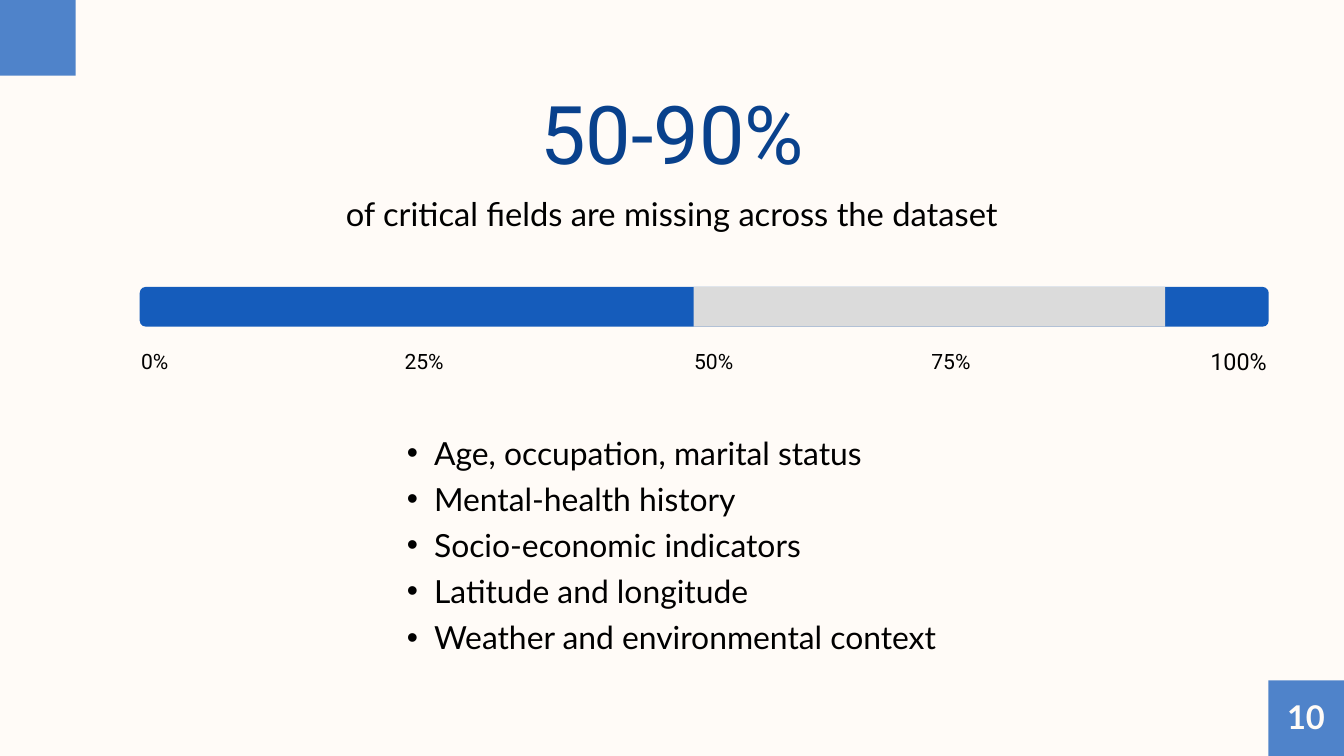
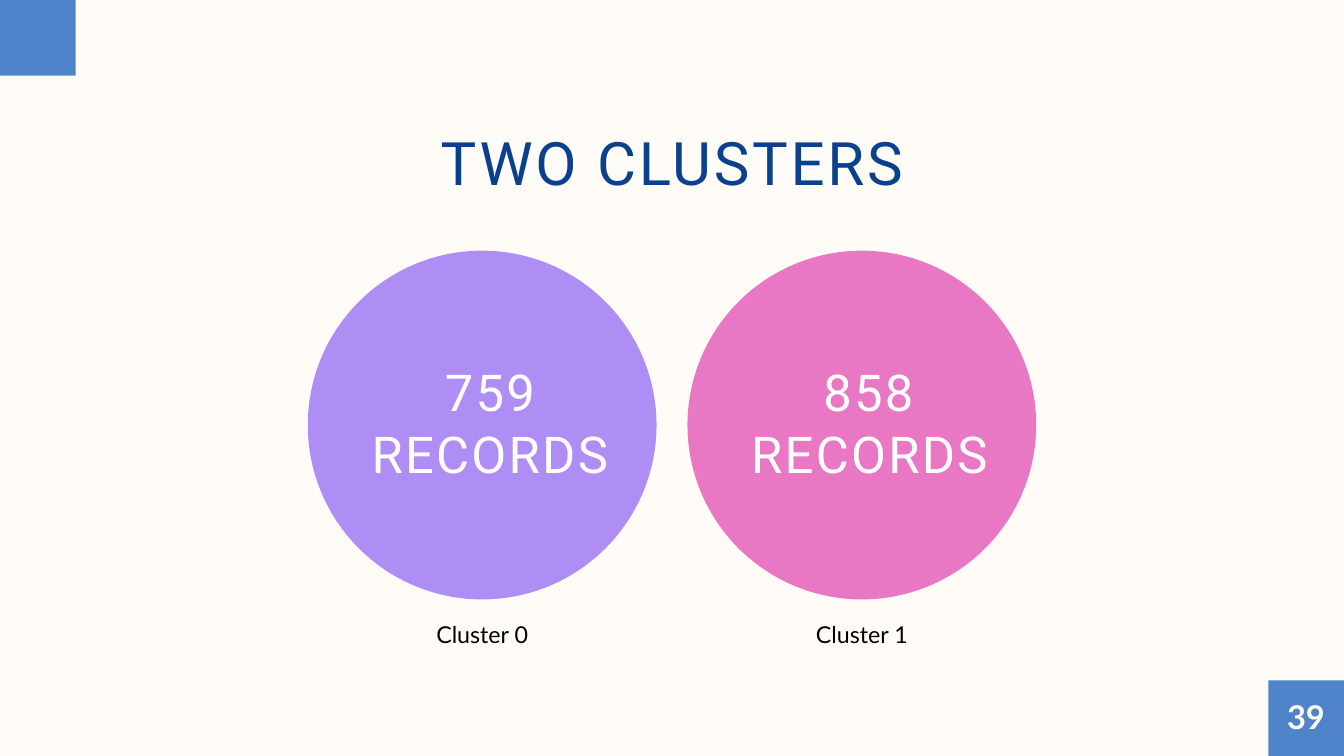
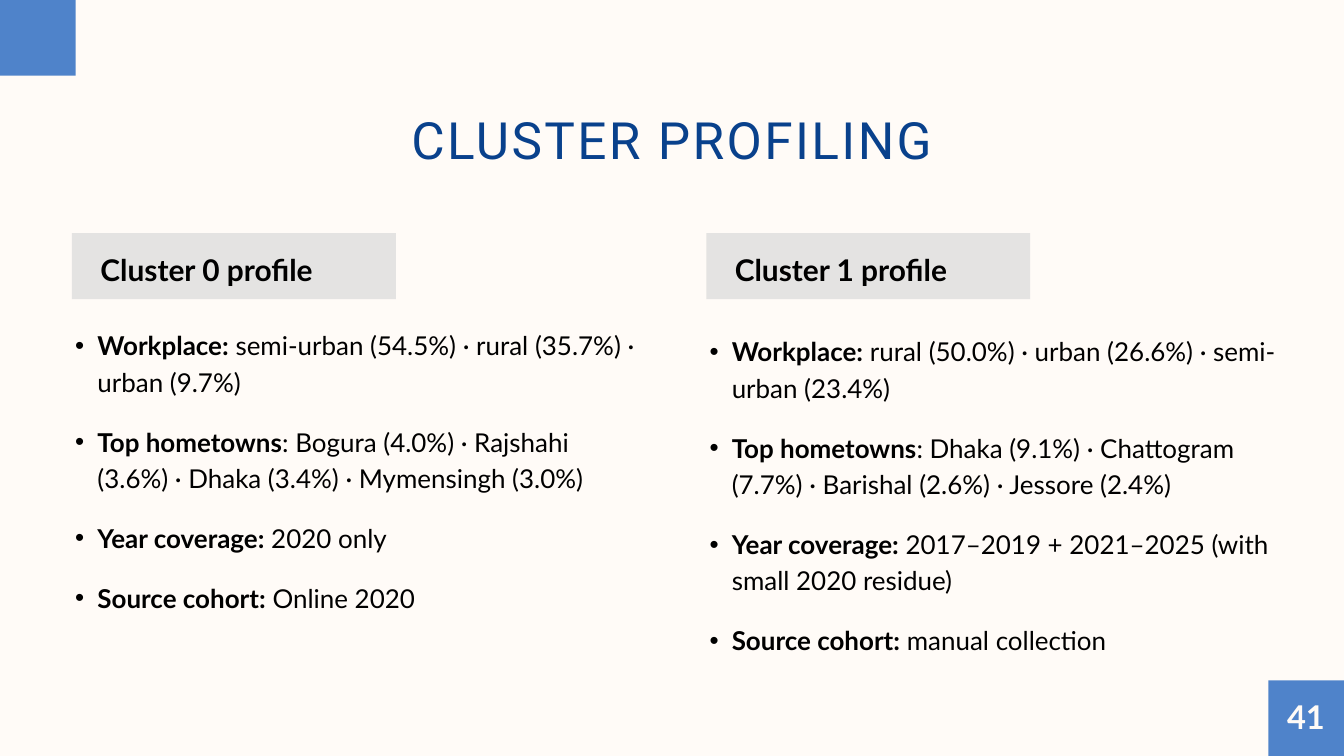
from dataclasses import dataclass

from lxml import etree
from pptx import Presentation
from pptx.dml.color import RGBColor
from pptx.enum.shapes import MSO_SHAPE
from pptx.enum.text import MSO_AUTO_SIZE, PP_ALIGN
from pptx.oxml.ns import qn
from pptx.util import Inches, Pt

RECT, ROUND, OVAL = MSO_SHAPE.RECTANGLE, MSO_SHAPE.ROUNDED_RECTANGLE, MSO_SHAPE.OVAL
LEFT, MID, RIGHT = PP_ALIGN.LEFT, PP_ALIGN.CENTER, PP_ALIGN.RIGHT
GROW = MSO_AUTO_SIZE.SHAPE_TO_FIT_TEXT


@dataclass(frozen=True)
class Style:
    """Type style: size, line pitch and letter spacing in points."""
    size: float
    line: float
    face: str = "Lato"
    color: str = "000000"
    bold: bool = False
    track: float = 0


class Theme:
    paper, blue, grey = "FFFBF7", "155CBB", "DBDBDB"
    navy, white = "09418C", "FFFFFF"
    solid, soft = 100, 75
    stat = Style(86.8, 86.8, "Roboto", navy)
    lead = Style(35, 38.5)
    tick = Style(22.6, 31.6, "Roboto")
    last = Style(25, 35, "Roboto")
    field = Style(34.1, 49.5)
    title = Style(64.2, 78.3, "Roboto", navy, track=3)
    head = Style(55, 67.1, "Roboto", navy, track=2.6)
    count = Style(54.4, 66.4, "Roboto", white, track=2.5)
    label = Style(24.9, 34.9)
    panel = Style(32, 44.8, bold=True)
    term = Style(27.8, 39, bold=True)
    fact = Style(27.8, 39)
    page = Style(35, 35, color=paper, bold=True)


# Content
STAT = "50-90%"
LEAD = "of critical fields are missing across the dataset"
TICKS = [("0%", LEFT), ("25%", LEFT), ("50%", MID), ("75%", LEFT)]
END = "100%"
FIELDS = [
    "Age, occupation, marital status",
    "Mental-health history",
    "Socio-economic indicators",
    "Latitude and longitude",
    "Weather and environmental context",
]
CLUSTERS = [
    ("Cluster 0", ["759", "RECORDS"], "AE8DF5"),
    ("Cluster 1", ["858 RECORDS"], "E978C4"),
]
# Each profile: heading, top of its list, then (lines, term, fact)
PROFILES = [
    ("Cluster 0 profile", 4.83, [
        (2, "Workplace:", " semi-urban (54.5%) · rural (35.7%) · urban (9.7%)"),
        (2, "Top hometowns",
         ": Bogura (4.0%) · Rajshahi (3.6%) · Dhaka (3.4%) · Mymensingh (3.0%)"),
        (1, "Year coverage:", " 2020 only"),
        (1, "Source cohort:", " Online 2020"),
    ]),
    ("Cluster 1 profile", 4.92, [
        (2, "Workplace:", " rural (50.0%) · urban (26.6%) · semi-urban (23.4%)"),
        (2, "Top hometowns",
         ": Dhaka (9.1%) · Chattogram (7.7%) · Barishal (2.6%) · Jessore (2.4%)"),
        (2, "Year coverage:", " 2017–2019 + 2021–2025 (with small 2020 residue)"),
        (1, "Source cohort:", " manual collection"),
    ]),
]

# Slide size and the square in two corners
W, H = 20, 11.25
SIDE = H / 10


def shape(slide, kind, box, color, alpha=Theme.solid):
    item = slide.shapes.add_shape(kind, *map(Inches, box))
    item.shadow.inherit = False
    item.line.fill.background()
    item.fill.solid()
    item.fill.fore_color.rgb = RGBColor.from_string(color)
    if alpha < Theme.solid:
        tone = item.element.spPr.find(".//" + qn("a:srgbClr"))
        etree.SubElement(tone, qn("a:alpha"), val=str(alpha * 1000))
    return item


def bullet(para, indent):
    para.level = 1
    props = para._p.get_or_add_pPr()
    props.set("marL", str(Inches(indent)))
    props.set("indent", str(-Inches(indent / 2)))
    etree.SubElement(props, qn("a:buFont"), typeface="Arial")
    etree.SubElement(props, qn("a:buChar"), char="•")


def text(slide, box, paras, align=MID, indent=0):
    """Add a text box; each paragraph is a list of (words, style) runs."""
    frame = slide.shapes.add_textbox(*map(Inches, box)).text_frame
    frame.word_wrap = True
    frame.auto_size = GROW
    frame.margin_left = frame.margin_right = 0
    frame.margin_top = frame.margin_bottom = 0
    for i, runs in enumerate(paras):
        para = frame.add_paragraph() if i else frame.paragraphs[0]
        para.alignment = align
        para.line_spacing = Pt(runs[0][1].line)
        if indent:
            bullet(para, indent)
        for words, style in runs:
            run = para.add_run()
            run.text = words
            font = run.font
            font.name, font.size, font.bold = style.face, Pt(style.size), style.bold
            font.color.rgb = RGBColor.from_string(style.color)
            if style.track:
                run._r.get_or_add_rPr().set("spc", str(round(style.track * 100)))


def center(slide, top, wide, high, words, style):
    text(slide, ((W - wide) / 2, top, wide, high), [[(words, style)]])


def start(deck, page):
    """Add a slide with its background, corner squares and page number."""
    slide = deck.slides.add_slide(deck.slide_layouts[6])
    fill = slide.background.fill
    fill.solid()
    fill.fore_color.rgb = RGBColor.from_string(Theme.paper)
    for left, top in ((0, 0), (W - SIDE, H - SIDE)):
        shape(slide, RECT, (left, top, SIDE, SIDE), Theme.blue, Theme.soft)
    text(slide, (18.97, 10.47, 0.93, 0.5), [[(str(page), Theme.page)]])
    return slide


def missing(deck):
    slide = start(deck, 10)
    center(slide, 1.49, 6.57, 1.31, STAT, Theme.stat)
    center(slide, 2.93, 10.33, 0.55, LEAD, Theme.lead)
    left, top, wide, high = 2.08, 4.27, 16.8, 0.59
    bar = shape(slide, ROUND, (left, top, wide, high), Theme.blue)
    bar.adjustments[0] = 0.15
    shape(slide, RECT, (10.32, top, 7.02, high), Theme.grey)
    for i, (words, align) in enumerate(TICKS):
        text(slide, (left + 0.02 + 3.92 * i, 5.13, 1.36, 0.4),
             [[(words, Theme.tick)]], align)
    text(slide, (17.34, 5.1, 1.51, 0.45), [[(END, Theme.last)]], RIGHT)
    text(slide, (5.65, 6.33, 8.69, 3.37),
         [[(name, Theme.field)] for name in FIELDS], LEFT, 0.81)


def clusters(deck):
    slide = start(deck, 39)
    center(slide, 1.85, 9.5, 1.08, "TWO CLUSTERS", Theme.title)
    size, gap, top = 5.19, 0.46, 3.73
    first = (W - 2 * size - gap) / 2
    for i, (name, count, color) in enumerate(CLUSTERS):
        left = first + i * (size + gap)
        shape(slide, OVAL, (left, top, size, size), color)
        text(slide, (left + 0.94, 5.35, 3.54, 1.83),
             [[(words, Theme.count)] for words in count])
        text(slide, (left + 1.6, 9.16, 1.99, 0.44), [[(name, Theme.label)]])


def profiles(deck):
    slide = start(deck, 41)
    center(slide, 1.59, 13.62, 0.92, "CLUSTER PROFILING", Theme.head)
    line, gap = Theme.fact.line / 72, 0.35
    for i, (name, top, facts) in enumerate(PROFILES):
        left = 1.07 + 9.44 * i
        shape(slide, RECT, (left, 3.47, 4.82, 0.98), Theme.grey, Theme.soft)
        text(slide, (left + 0.33, 3.66, 3.35, 0.56), [[(name, Theme.panel)]])
        for lines, term, fact in facts:
            high = lines * line
            text(slide, (left - 0.28, top, 8.76, high),
                 [[(term, Theme.term), (fact, Theme.fact)]], LEFT, 0.66)
            top += high + gap


def main():
    deck = Presentation()
    deck.slide_width, deck.slide_height = Inches(W), Inches(H)
    for build in (missing, clusters, profiles):
        build(deck)
    deck.save("out.pptx")


if __name__ == "__main__":
    main()
